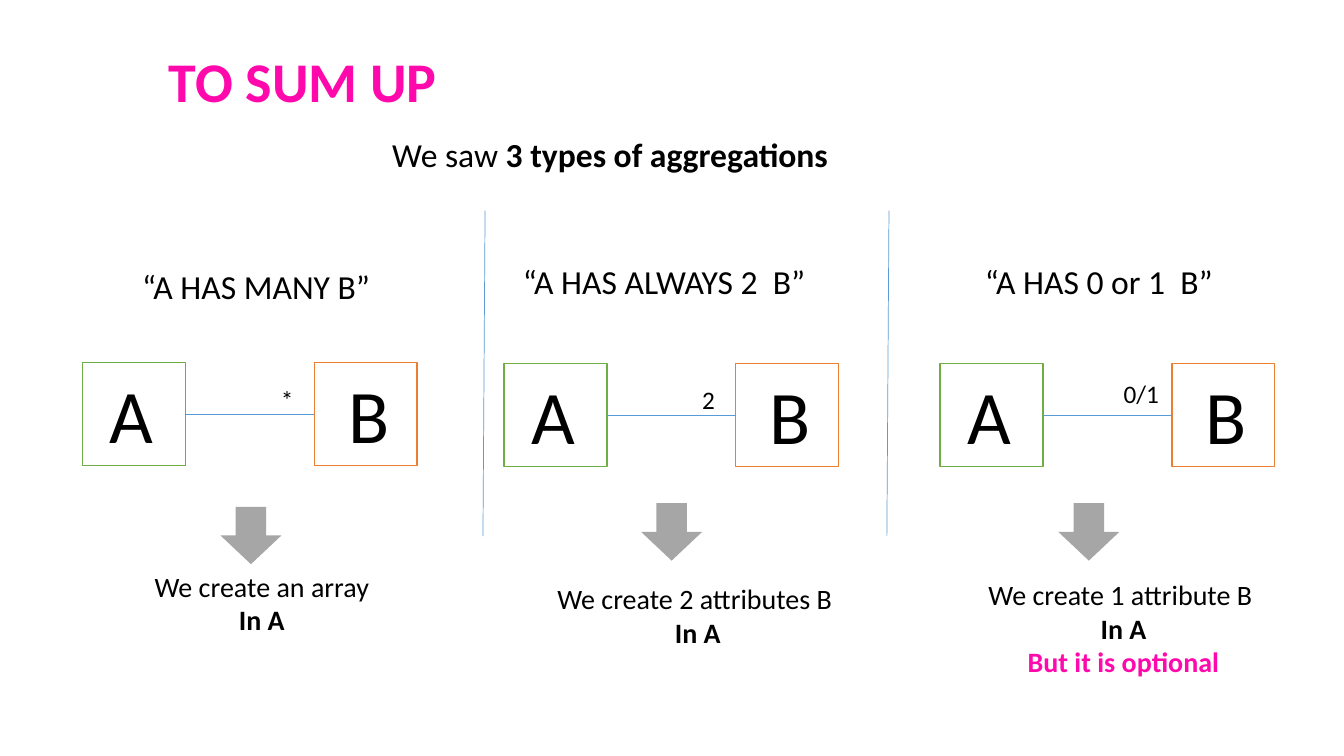
from lxml import etree
from pptx import Presentation
from pptx import util as u
from pptx.dml.color import RGBColor
from pptx.enum import shapes, text
from pptx.oxml import ns

PINK = RGBColor(0xFF, 0x09, 0xAD)
BLACK = RGBColor(0, 0, 0)
WHITE = RGBColor(0xFF, 0xFF, 0xFF)
GREEN = RGBColor(0x70, 0xAD, 0x47)
ORANGE = RGBColor(0xED, 0x7D, 0x31)
BLUE = RGBColor(0x5B, 0x9B, 0xD5)
GREY = RGBColor(0xA6, 0xA6, 0xA6)

SIDE = 73.5    # edge of a class box
STEP = 165.5   # from box A to box B


class Board:
    """Holds the style and the current slide; lengths are in points."""
    font = "Calibri"

    def __init__(self, slide):
        self.slide = slide

    def style(self, run, size, bold=False, color=BLACK):
        run.font.name, run.font.size = self.font, u.Pt(size)
        run.font.bold, run.font.color.rgb = bold, color

    def title(self, words, x, y, w, h):
        box = self.slide.shapes.title
        box.left, box.top, box.width, box.height = map(u.Pt, (x, y, w, h))
        frame = box.text_frame
        frame.text = words
        frame.auto_size = text.MSO_AUTO_SIZE.NONE
        frame.vertical_anchor = text.MSO_ANCHOR.TOP
        frame.paragraphs[0].alignment = text.PP_ALIGN.LEFT
        self.style(frame.paragraphs[0].runs[0], 40, True, PINK)

    def label(self, lines, x, y, w, h, size, wrap=True, center=False):
        """Each line is a list of (words, bold, color) parts."""
        box = self.slide.shapes.add_textbox(*map(u.Pt, (x, y, w, h)))
        frame = box.text_frame
        frame.word_wrap = wrap
        for i, parts in enumerate(lines):
            para = frame.add_paragraph() if i else frame.paragraphs[0]
            para.alignment = text.PP_ALIGN.CENTER if center else text.PP_ALIGN.LEFT
            for words, bold, color in parts:
                run = para.add_run()
                run.text = words
                self.style(run, size, bold, color)

    def plain(self, words, x, y, w, h, size, wrap=True):
        self.label([[(words, False, BLACK)]], x, y, w, h, size, wrap)

    def shape(self, kind, x, y, w, h, fill, edge=None):
        item = self.slide.shapes.add_shape(kind, *map(u.Pt, (x, y, w, h)))
        item.shadow.inherit = False
        item.fill.solid()
        item.fill.fore_color.rgb = fill
        if edge is None:
            item.line.fill.background()
        else:
            item.line.color.rgb, item.line.width = edge, u.Pt(1)
        return item

    def line(self, x1, y1, x2, y2):
        item = self.slide.shapes.add_connector(
            shapes.MSO_CONNECTOR.STRAIGHT, *map(u.Pt, (x1, y1, x2, y2)))
        item.line.color.rgb, item.line.width = BLUE, u.Pt(0.5)
        etree.SubElement(item._element.spPr, ns.qn("a:effectLst"))
        return item

    def pair(self, x, y):
        """Class A linked to class B."""
        rect = shapes.MSO_SHAPE.RECTANGLE
        a = self.shape(rect, x, y, SIDE, SIDE, WHITE, GREEN)
        b = self.shape(rect, x + STEP, y, SIDE, SIDE, WHITE, ORANGE)
        mid = y + SIDE / 2
        link = self.line(x + SIDE, mid, x + STEP, mid)
        link.begin_connect(a, 3)
        link.end_connect(b, 1)
        self.plain("A", x + 12.25, y, 46, 73, 54, False)
        self.plain("B", x + STEP + 17.25, y, 44, 73, 54, False)


def main():
    deck = Presentation()
    deck.slide_width, deck.slide_height = u.Pt(960), u.Pt(540)
    board = Board(deck.slides.add_slide(deck.slide_layouts[5]))

    # Heading
    board.title("TO SUM UP", 113.5, 29.5, 232.5, 55.5)
    board.label([[("We saw ", False, BLACK), ("3 types of aggregations", True, BLACK)]],
                273, 92, 358.5, 36, 24)

    # Column dividers
    for x in (346.5, 635):
        board.line(x, 150.5, x - 1.5, 383)

    # One column per type: pair, head, count, arrow, note
    columns = [
        ((59, 259), ("“A HAS MANY B”", 94.5, 186.5, 214),
         ("*", 193.5, 271, 24), (157.5, 362),
         ("We create an array", 96, 403, 182), None),
        ((360, 259.75), ("“A HAS ALWAYS 2  B”", 366.5, 183, 237.5),
         ("2", 494.5, 271, 24), (458, 359.5),
         ("We create 2 attributes B ", 360, 412, 277), None),
        ((671.5, 259.75), ("“A HAS 0 or 1  B”", 696.5, 183, 237.5),
         ("0/1", 795.5, 266.5, 40.5), (756, 359.5),
         ("We create 1 attribute B ", 659.5, 409, 286), "But it is optional"),
    ]
    for spot, head, count, arrow, note, extra in columns:
        board.pair(*spot)
        board.plain(*head, 36, 24)
        board.plain(*count, 29, 18, False)
        board.shape(shapes.MSO_SHAPE.DOWN_ARROW, *arrow, 43.5, 41, GREY)
        words, x, y, w = note
        lines = [[(words, False, BLACK)], [("In A", True, BLACK)]]
        if extra:
            lines.append([(extra, True, PINK)])
        board.label(lines, x, y, w, 7 + 24 * len(lines), 20, center=True)

    deck.save("out.pptx")


if __name__ == "__main__":
    main()
